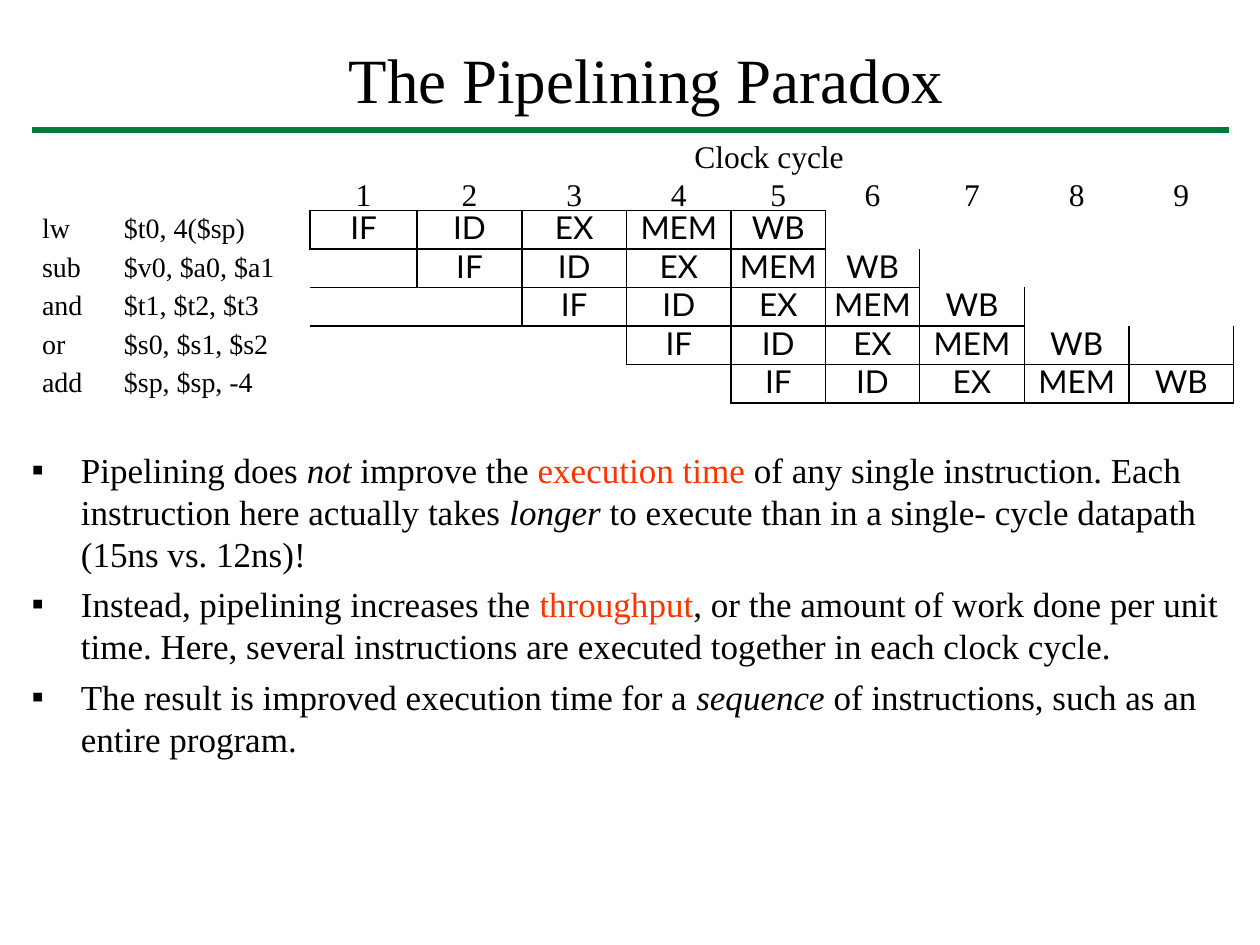
from dataclasses import dataclass

from lxml.etree import SubElement
from pptx import Presentation
from pptx.dml.color import RGBColor
from pptx.enum.shapes import MSO_CONNECTOR
from pptx.enum.text import MSO_ANCHOR, MSO_AUTO_SIZE, PP_ALIGN
from pptx.oxml.ns import qn
from pptx.util import Cm, Pt

TITLE = "The Pipelining Paradox"
AXIS_LABEL = "Clock cycle"
INSTRUCTIONS = [
    ("lw", "$t0, 4($sp)"),
    ("sub", "$v0, $a0, $a1"),
    ("and", "$t1, $t2, $t3"),
    ("or", "$s0, $s1, $s2"),
    ("add", "$sp, $sp, -4"),
]
STAGES = ["IF", "ID", "EX", "MEM", "WB"]
BULLETS = [
    [("Pipelining does ", "plain"), ("not", "emphasis"), (" improve the ", "plain"),
     ("execution time", "key"),
     (" of any single instruction. Each instruction here actually takes ", "plain"),
     ("longer", "emphasis"),
     (" to execute than in a single- cycle datapath (15ns vs. 12ns)!", "plain")],
    [("Instead, pipelining increases the ", "plain"), ("throughput", "key"),
     (", or the amount of work done per unit time. Here, several instructions "
      "are executed together in each clock cycle.", "plain")],
    [("The result is improved execution time for a ", "plain"), ("sequence", "emphasis"),
     (" of instructions, such as an entire program.", "plain")],
]


@dataclass(frozen=True)
class Theme:
    serif: str = "Times New Roman"
    sans: str = "Lato"
    black: str = "000000"
    red: str = "FF3300"
    green: str = "007A3A"
    title: int = 36
    label: int = 18
    code: int = 16
    body: int = 20


THEME = Theme()
RUN_STYLES = {
    "plain": {},
    "emphasis": {"italic": True},
    "key": {"color": THEME.red},
}

MARGIN = Cm(0.64)
RULE_TOP = Cm(2.62)
RULE_WIDTH = Cm(24.13)
TABLE_LEFT, TABLE_TOP = Cm(6.25), Cm(4.24)
COLUMN_WIDTHS = [Cm(width) for width in (2.16, 2.11, 2.11, 2.11, 1.9, 1.9, 2.11, 2.11, 2.11)]
ROW_HEIGHT = Cm(0.76)
LABEL_HEIGHT = Cm(0.8)
ROWS, COLUMNS = len(INSTRUCTIONS), len(COLUMN_WIDTHS)


def write(paragraph, text, font=THEME.serif, size=THEME.body, color=THEME.black,
          italic=False, align=None, line=None, before=0):
    paragraph.alignment = align
    paragraph.space_before = Pt(before)
    if line:
        paragraph.line_spacing = Pt(line)
    if text:
        run = paragraph.add_run()
        run.text = text
        run.font.name = font
        run.font.size = Pt(size)
        run.font.italic = italic
        run.font.color.rgb = RGBColor.from_string(color)


def place(shape, left, top, width, height):
    shape.left, shape.top, shape.width, shape.height = left, top, width, height
    frame = shape.text_frame
    frame.margin_left = frame.margin_right = frame.margin_top = frame.margin_bottom = 0
    frame.word_wrap = True
    frame.auto_size = MSO_AUTO_SIZE.NONE
    frame.vertical_anchor = MSO_ANCHOR.TOP
    return frame


def text_box(slide, *box):
    return place(slide.shapes.add_textbox(*box), *box)


def next_paragraph(frame, index):
    return frame.add_paragraph() if index else frame.paragraphs[0]


def add_tab(paragraph, position):
    tabs = SubElement(paragraph._p.get_or_add_pPr(), qn("a:tabLst"))
    SubElement(tabs, qn("a:tab"), pos=str(position), algn="l")


def add_bullet(paragraph, indent):
    properties = paragraph._p.get_or_add_pPr()
    properties.set("marL", str(indent))
    properties.set("indent", str(-indent))
    SubElement(properties, qn("a:buFont"), typeface=THEME.serif)
    SubElement(properties, qn("a:buChar"), char="▪")


def is_stage(row, column):
    return 0 <= row < ROWS and 0 <= column - row < len(STAGES)


def line_left(row, column):
    return is_stage(row, column) or is_stage(row, column - 1)


def line_above(row, column):
    closed = column - row < len(STAGES) - 1 or row in (0, ROWS - 1)
    return is_stage(row - 1, column) or (is_stage(row, column) and closed) or (row, column) == (2, 0)


def draw_borders(cell, row, column, last):
    sides = [
        ("a:lnL", line_left(row, column)),
        ("a:lnR", line_left(row, last + 1)),
        ("a:lnT", line_above(row, column)),
        ("a:lnB", line_above(row + 1, column)),
    ]
    properties = cell._tc.get_or_add_tcPr()
    for tag, visible in sides:
        if visible:
            border = SubElement(properties, qn(tag), w=str(Pt(1)))
            fill = SubElement(border, qn("a:solidFill"))
            SubElement(fill, qn("a:srgbClr"), val=THEME.black)


def add_pipeline(slide):
    graphic = slide.shapes.add_table(ROWS, COLUMNS, TABLE_LEFT, TABLE_TOP,
                                     sum(COLUMN_WIDTHS), ROW_HEIGHT * ROWS)
    table = graphic.table
    table.first_row = table.horz_banding = False
    graphic._element.find(".//" + qn("a:tableStyleId")).text = "{2D5ABB26-0587-4C30-8999-92F81FD0307C}"
    for column, width in zip(table.columns, COLUMN_WIDTHS):
        column.width = width
    for row in range(ROWS):
        table.rows[row].height = ROW_HEIGHT
        ends = {column: column for column in range(COLUMNS)}
        for first, last in ((0, row - 1), (row + len(STAGES), COLUMNS - 1)):
            if first < last:
                table.cell(row, first).merge(table.cell(row, last))
                ends[first] = last
        for column in range(COLUMNS):
            cell = table.cell(row, column)
            cell.margin_left = cell.margin_right = cell.margin_top = cell.margin_bottom = 0
            draw_borders(cell, row, column, ends[column])
            cell.fill.background()
            text = STAGES[column - row] if is_stage(row, column) else ""
            write(cell.text_frame.paragraphs[0], text, font=THEME.sans,
                  size=THEME.label, align=PP_ALIGN.CENTER, line=20.6)


def add_cycle_labels(slide):
    label = {"size": THEME.label, "align": PP_ALIGN.CENTER}
    frame = text_box(slide, Cm(13.97), Cm(2.77), Cm(3.07), LABEL_HEIGHT)
    write(frame.paragraphs[0], AXIS_LABEL, **label)
    left = TABLE_LEFT
    for cycle, width in enumerate(COLUMN_WIDTHS, start=1):
        frame = text_box(slide, left, Cm(3.53), width, LABEL_HEIGHT)
        write(frame.paragraphs[0], str(cycle), **label)
        left += width


def add_instructions(slide):
    frame = text_box(slide, Cm(0.85), Cm(4.15), Cm(5.3), Cm(3.9))
    for index, instruction in enumerate(INSTRUCTIONS):
        paragraph = next_paragraph(frame, index)
        add_tab(paragraph, Cm(1.65))
        write(paragraph, "\t".join(instruction), size=THEME.code, line=22)


def add_bullets(slide):
    frame = place(slide.placeholders[1], MARGIN, Cm(9.04), Cm(24.54), Cm(6.5))
    for index, parts in enumerate(BULLETS):
        paragraph = next_paragraph(frame, index)
        add_bullet(paragraph, Cm(0.99))
        for text, style in parts:
            write(paragraph, text, line=24, before=4.8 if index else 0, **RUN_STYLES[style])


def add_heading(slide):
    frame = place(slide.shapes.title, Cm(0.96), Cm(0.82), RULE_WIDTH, Cm(1.57))
    write(frame.paragraphs[0], TITLE, size=THEME.title, align=PP_ALIGN.CENTER)
    rule = slide.shapes.add_connector(MSO_CONNECTOR.STRAIGHT, MARGIN, RULE_TOP,
                                      MARGIN + RULE_WIDTH, RULE_TOP)
    rule.line.color.rgb = RGBColor.from_string(THEME.green)
    rule.line.width = Pt(3)
    SubElement(rule._element.spPr, qn("a:effectLst"))


def main():
    presentation = Presentation()
    presentation.slide_width, presentation.slide_height = Cm(25.4), Cm(19.05)
    slide = presentation.slides.add_slide(presentation.slide_layouts[1])
    add_heading(slide)
    add_cycle_labels(slide)
    add_instructions(slide)
    add_bullets(slide)
    add_pipeline(slide)
    presentation.save("out.pptx")


if __name__ == "__main__":
    main()
